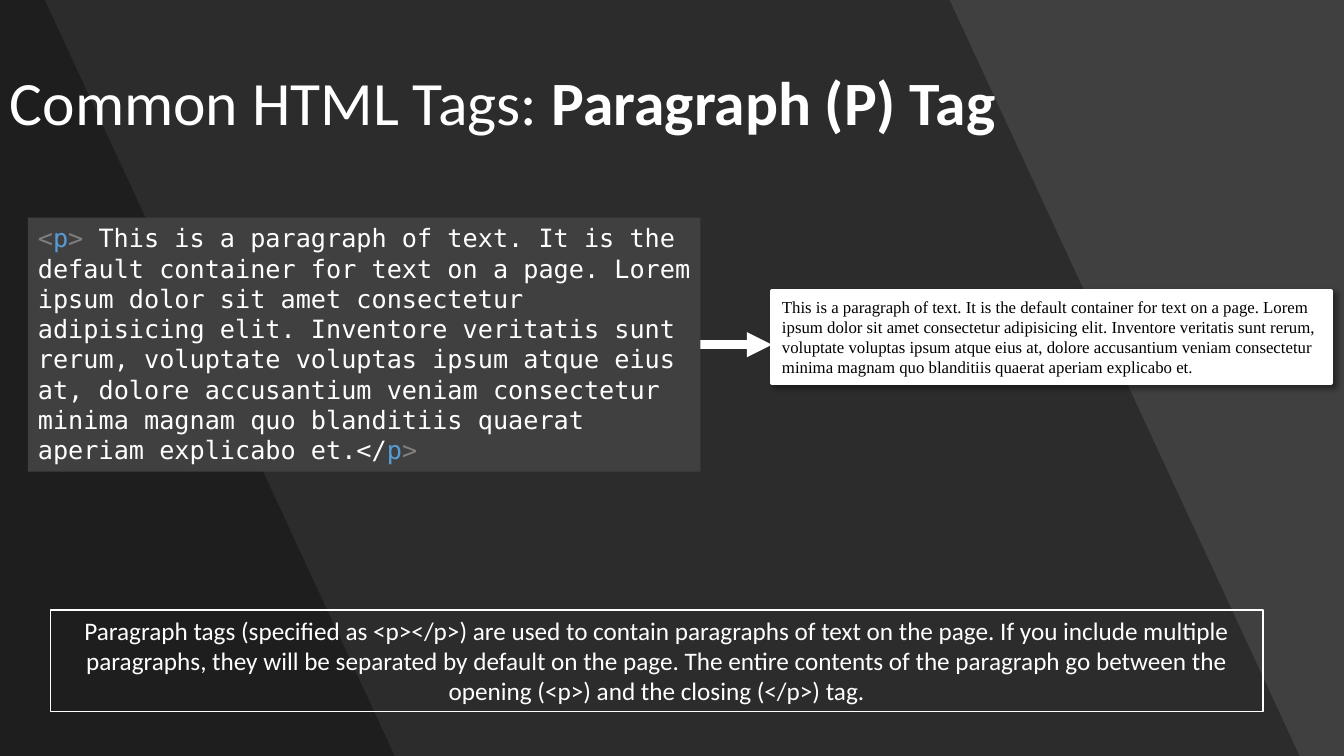
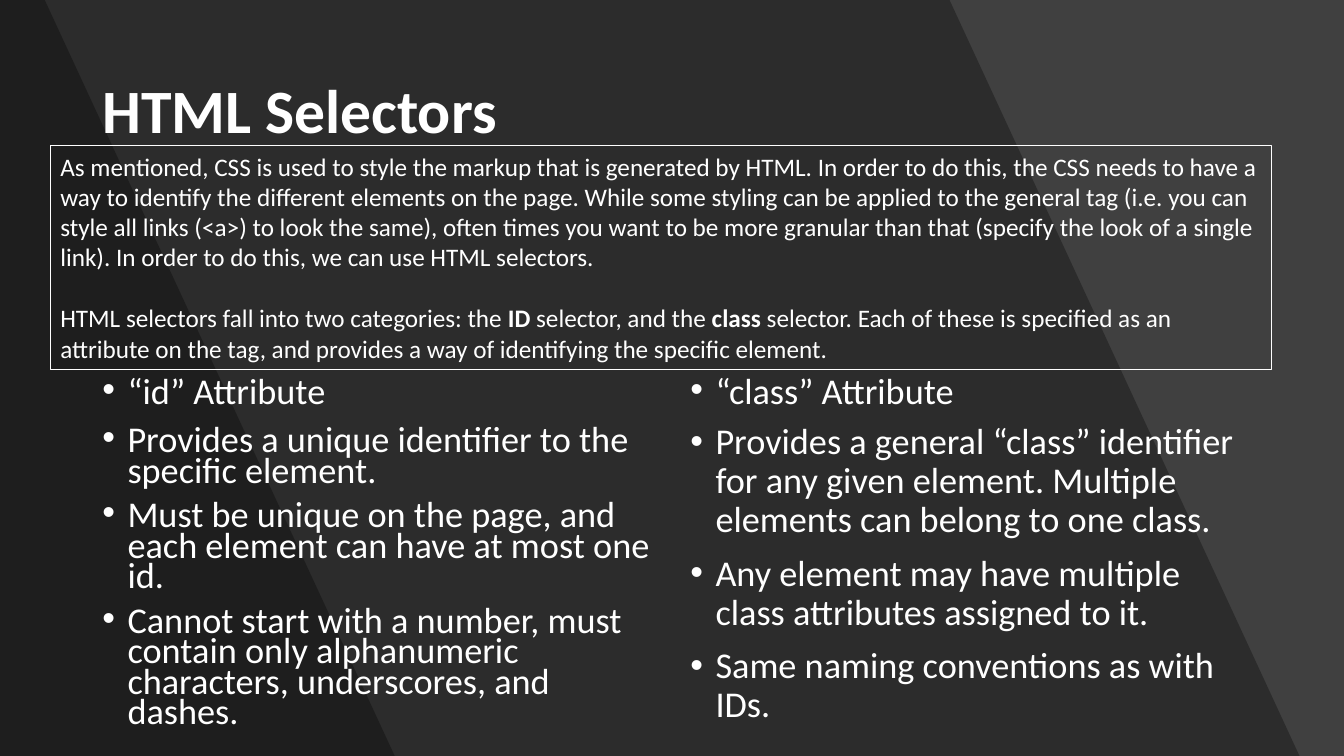
from lxml.etree import SubElement
from pptx import Presentation
from pptx.dml.color import RGBColor
from pptx.enum.shapes import MSO_CONNECTOR as Connector, MSO_SHAPE as Shape
from pptx.enum.text import MSO_ANCHOR as Anchor, PP_ALIGN as Align
from pptx.oxml.ns import qn
from pptx.util import Pt

WIDTH, HEIGHT = 960, 540
WHITE, BLACK, GREY = "FFFFFF", "000000", "404040"
BRACKET, TAG = "808080", "569CD6"
SANS, MONO, SERIF = "Calibri", "DejaVu Sans Mono", "Times New Roman"
BAND_OPACITY = 30
BANDS = [(678.25, 928.25), (32, 282)]  # right edge at the top and at the bottom

LOREM = (
    "This is a paragraph of text. It is the default container for text on a page. "
    "Lorem ipsum dolor sit amet consectetur adipisicing elit. Inventore veritatis "
    "sunt rerum, voluptate voluptas ipsum atque eius at, dolore accusantium veniam "
    "consectetur minima magnam quo blanditiis quaerat aperiam explicabo et."
)


def colour(hex_code):
    """Turn a hex string into a colour."""
    return RGBColor.from_string(hex_code)


def points(*lengths):
    """Turn plain numbers into lengths in points."""
    return [Pt(length) for length in lengths]


def paint(shape, fill=None, line=None, line_width=1):
    """Set fill and outline, and drop the theme shadow."""
    shape.shadow.inherit = False
    if fill:
        shape.fill.solid()
        shape.fill.fore_color.rgb = colour(fill)
    else:
        shape.fill.background()
    if line:
        shape.line.color.rgb = colour(line)
        shape.line.width = Pt(line_width)
    else:
        shape.line.fill.background()


def add_run(paragraph, text, size, font=SANS, ink=WHITE, bold=False):
    """Add one formatted run."""
    run = paragraph.add_run()
    run.text = text
    run.font.size = Pt(size)
    run.font.name = font
    run.font.bold = bold
    run.font.color.rgb = colour(ink)


def write(shape, paragraphs, size, font=SANS, align=Align.LEFT, anchor=Anchor.TOP,
          line_spacing=None, gap=0, first_gap=0):
    """Fill a shape with paragraphs, each a list of (text, run options)."""
    frame = shape.text_frame
    frame.word_wrap = True
    frame.vertical_anchor = anchor
    for index, runs in enumerate(paragraphs):
        paragraph = frame.add_paragraph() if index else frame.paragraphs[0]
        paragraph.alignment = align
        paragraph.space_before = Pt(gap if index else first_gap)
        if line_spacing:
            paragraph.line_spacing = line_spacing
        for text, options in runs:
            add_run(paragraph, text, size, font, **options)
    return frame.paragraphs


def add_band(slide, top_right, bottom_right):
    """Darken the area left of a slanted edge."""
    builder = slide.shapes.build_freeform(0, 0)
    corners = [(top_right, 0), (bottom_right, HEIGHT), (0, HEIGHT)]
    builder.add_line_segments([points(*corner) for corner in corners], close=True)
    band = builder.convert_to_shape()
    paint(band, BLACK)
    shade = band.fill._xPr.find(qn("a:solidFill"))[0]
    SubElement(shade, qn("a:alpha"), val=str(BAND_OPACITY * 1000))


def add_base(deck):
    """Add a slide with the shared background."""
    slide = deck.slides.add_slide(deck.slide_layouts[6])
    slide.background.fill.solid()
    slide.background.fill.fore_color.rgb = colour(GREY)
    for edge in BANDS:
        add_band(slide, *edge)
    return slide


def add_title(slide, left, top, runs):
    """Add the slide title."""
    title = slide.shapes.add_textbox(*points(left, top, 828, 104.4))
    write(title, [runs], 44, anchor=Anchor.MIDDLE, line_spacing=0.9)


def add_panel(slide, box, paragraphs, size=18, fill=None, line=None, line_width=1,
              **text_style):
    """Add a rectangle with text."""
    panel = slide.shapes.add_shape(Shape.RECTANGLE, *points(*box))
    paint(panel, fill, line, line_width)
    write(panel, paragraphs, size, **text_style)
    return panel


def add_drop_shadow(shape):
    """Give a shape a soft shadow to the lower right."""
    effects = shape._element.spPr.find(qn("a:effectLst"))
    shadow = SubElement(effects, qn("a:outerShdw"), blurRad=str(Pt(4)),
                        dist=str(Pt(3)), dir=str(45 * 60000), rotWithShape="0")
    ink = SubElement(shadow, qn("a:srgbClr"), val=BLACK)
    SubElement(ink, qn("a:alpha"), val="40000")


def add_arrow(slide, start, end, middle):
    """Add a thick horizontal arrow."""
    arrow = slide.shapes.add_connector(
        Connector.STRAIGHT, *points(start, middle, end, middle))
    arrow.line.color.rgb = colour(WHITE)
    arrow.line.width = Pt(6)
    SubElement(arrow.line._get_or_add_ln(), qn("a:tailEnd"), type="triangle")
    SubElement(arrow._element.spPr, qn("a:effectLst"))


def add_bullets(slide, box, items, line_spacing):
    """Add a bulleted list."""
    bullets = slide.shapes.add_textbox(*points(*box))
    paragraphs = write(bullets, [[(item, {})] for item in items], 25.9,
                       line_spacing=line_spacing, gap=10, first_gap=10)
    for paragraph in paragraphs:
        properties = paragraph._p.get_or_add_pPr()
        properties.set("marL", str(Pt(18)))
        properties.set("indent", str(Pt(-18)))
        SubElement(properties, qn("a:buFont"), typeface="Arial")
        SubElement(properties, qn("a:buChar"), char="•")


def add_column(slide, left, width, heading, items, items_top, line_spacing):
    """Add a heading and the list below it."""
    add_bullets(slide, (left, 267.8, width, 31), [heading], 0.7)
    add_bullets(slide, (left, items_top, width, 226.8), items, line_spacing)


def add_paragraph_tag_slide(deck):
    """Show the markup of a paragraph beside its result."""
    slide = add_base(deck)
    add_title(slide, 0, 23, [("Common HTML Tags: ", {}),
                             ("Paragraph (P) Tag", {"bold": True})])
    code_left, code_width, result_left, middle = 20, 480.3, 551.5, 246.2
    add_arrow(slide, code_left + code_width, result_left, middle)
    result = add_panel(slide, (result_left, 208.1, 399, 65.4),
                       [[(LOREM, {"ink": BLACK})]], 12, WHITE, WHITE, 3, font=SERIF)
    add_drop_shadow(result)
    add_panel(slide, (36, 435.6, 866.2, 72.7), [[(
        "Paragraph tags (specified as <p></p>) are used to contain paragraphs of text "
        "on the page. If you include multiple paragraphs, they will be separated by "
        "default on the page. The entire contents of the paragraph go between the "
        "opening (<p>) and the closing (</p>) tag.", {})]],
        line=WHITE, align=Align.CENTER)
    bracket, tag = {"ink": BRACKET}, {"ink": TAG}
    markup = [("<", bracket), ("p", tag), ("> ", bracket),
              (LOREM + "</", {}), ("p", tag), (">", bracket)]
    add_panel(slide, (code_left, 155.5, code_width, 181.4), [markup],
              fill=GREY, font=MONO)


def add_selectors_slide(deck):
    """Compare the id and class attributes."""
    slide = add_base(deck)
    bold = {"bold": True}
    add_title(slide, 66, 28.8, [("HTML Selectors", bold)])
    purpose = [(
        "As mentioned, CSS is used to style the markup that is generated by HTML. In "
        "order to do this, the CSS needs to have a way to identify the different "
        "elements on the page. While some styling can be applied to the general tag "
        "(i.e. you can style all links (<a>) to look the same), often times you want "
        "to be more granular than that (specify the look of a single link). In order "
        "to do this, we can use HTML selectors.", {})]
    categories = [
        ("HTML selectors fall into two categories: the ", {}), ("ID ", bold),
        ("selector, and the ", {}), ("class ", bold),
        ("selector. Each of these is specified as an attribute on the tag, and "
         "provides a way of identifying the specific element.", {})]
    add_panel(slide, (36, 104.2, 872.4, 159.9), [purpose, categories],
              line=WHITE, line_width=0.75, gap=22)
    add_column(slide, 66, 406, "“id” Attribute", [
        "Provides a unique identifier to the specific element.",
        "Must be unique on the page, and each element can have at most one id.",
        "Cannot start with a number, must contain only alphanumeric characters, "
        "underscores, and dashes."], 302.4, 0.7)
    add_column(slide, 486, 408, "“class” Attribute", [
        "Provides a general “class” identifier for any given element. Multiple "
        "elements can belong to one class.",
        "Any element may have multiple class attributes assigned to it.",
        "Same naming conventions as with IDs."], 298.8, 0.9)


deck = Presentation()
deck.slide_width, deck.slide_height = points(WIDTH, HEIGHT)
add_paragraph_tag_slide(deck)
add_selectors_slide(deck)
deck.save("out.pptx")
